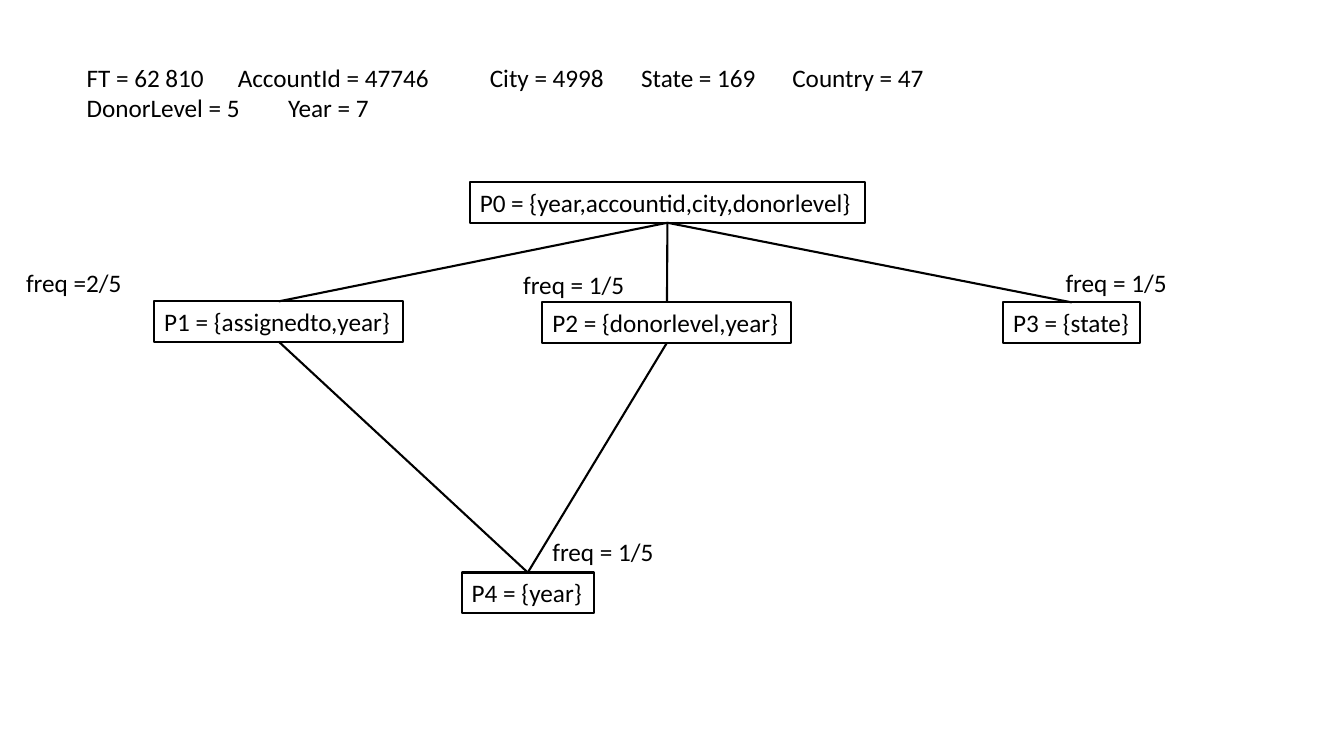
from pptx import Presentation
from pptx.dml.color import RGBColor
from pptx.enum.shapes import MSO_CONNECTOR, MSO_SHAPE
from pptx.enum.text import MSO_ANCHOR, MSO_AUTO_SIZE, PP_ALIGN
from pptx.oxml.ns import qn
from pptx.util import Inches, Pt
from lxml import etree

BLACK = RGBColor(0, 0, 0)
RECTANGLE, STRAIGHT = MSO_SHAPE.RECTANGLE, MSO_CONNECTOR.STRAIGHT
LEFT, TOP = PP_ALIGN.LEFT, MSO_ANCHOR.TOP
FIT_SHAPE = MSO_AUTO_SIZE.SHAPE_TO_FIT_TEXT
FRAME_FORMAT = {"word_wrap": False, "auto_size": FIT_SHAPE, "vertical_anchor": TOP}
FONT_FORMAT = {"name": "Calibri", "size": Pt(18)}
LINE_WIDTH = Pt(1.5)
ROW_HEIGHT = 0.4
TOP_SITE, BOTTOM_SITE = 0, 2

# Cardinalities, set on the default one-inch tab stops
CARDINALITIES = [
    "FT = 62 810\tAccountId = 47746\t\tCity = 4998\tState = 169 \tCountry = 47",
    "DonorLevel = 5 \tYear = 7",
]
# Partition: label, left, top, width (relative to the lattice)
PARTITIONS = {
    "P0": ("P0 = {year,accountid,city,donorlevel}", 4.5, 0, 3.92),
    "P1": ("P1 = {assignedto,year}", 1.37, 1.18, 2.47),
    "P2": ("P2 = {donorlevel,year}", 5.22, 1.19, 2.47),
    "P3": ("P3 = {state}", 9.79, 1.19, 1.36),
    "P4": ("P4 = {year}", 4.42, 3.87, 1.31),
}
EDGES = [("P0", "P1"), ("P0", "P2"), ("P0", "P3"), ("P1", "P4"), ("P2", "P4")]
# Frequency: label, left, top, width (relative to the lattice)
FREQUENCIES = [
    ("freq =2/5", 0, 0.79, 1.16),
    ("freq = 1/5", 4.93, 0.81, 1.22),
    ("freq = 1/5", 10.31, 0.79, 1.22),
    ("freq = 1/5", 5.22, 3.46, 1.22),
]


def write(frame, lines):
    for attribute, value in FRAME_FORMAT.items():
        setattr(frame, attribute, value)
    for index, line in enumerate(lines):
        paragraph = frame.add_paragraph() if index else frame.paragraphs[0]
        paragraph.alignment = LEFT
        run = paragraph.add_run()
        run.text = line
        run.font.color.rgb = BLACK
        for attribute, value in FONT_FORMAT.items():
            setattr(run.font, attribute, value)


def add_label(slide, lines, left, top, width, height=ROW_HEIGHT):
    label = slide.shapes.add_textbox(*map(Inches, (left, top, width, height)))
    write(label.text_frame, lines)


def add_partition(slide, label, left, top, width):
    partition = slide.shapes.add_shape(
        RECTANGLE, *map(Inches, (left, top, width, ROW_HEIGHT)))
    partition.shadow.inherit = False
    partition.fill.background()
    partition.line.color.rgb = BLACK
    partition.line.width = LINE_WIDTH
    write(partition.text_frame, [label])
    return partition


def add_edge(slide, parent, child):
    edge = slide.shapes.add_connector(STRAIGHT, 0, 0, 0, 0)
    edge.begin_connect(parent, BOTTOM_SITE)
    edge.end_connect(child, TOP_SITE)
    edge.line.color.rgb = BLACK
    edge.line.width = LINE_WIDTH
    etree.SubElement(edge._element.spPr, qn("a:effectLst"))


def add_lattice(slide, left, top):
    partitions = {
        name: add_partition(slide, label, left + x, top + y, width)
        for name, (label, x, y, width) in PARTITIONS.items()
    }
    for parent, child in EDGES:
        add_edge(slide, partitions[parent], partitions[child])
    for label, x, y, width in FREQUENCIES:
        add_label(slide, [label], left + x, top + y, width)


presentation = Presentation()
presentation.slide_width, presentation.slide_height = Inches(13.33), Inches(7.5)
slide = presentation.slides.add_slide(presentation.slide_layouts[6])

add_label(slide, CARDINALITIES, 0.76, 0.57, 10.61, 0.71)
add_lattice(slide, 0.16, 1.81)

presentation.save("out.pptx")
